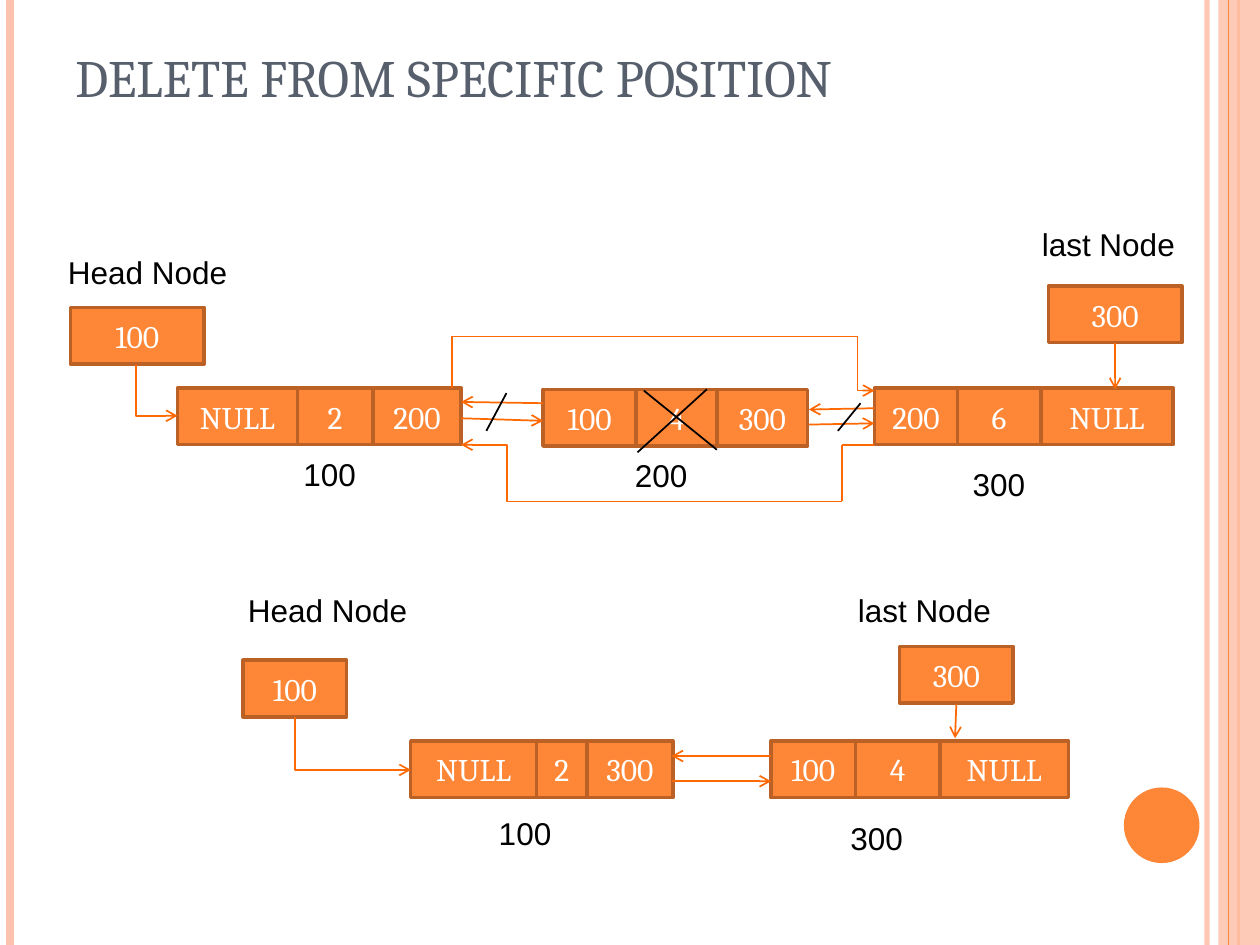
from lxml.etree import SubElement
from pptx import Presentation
from pptx.dml.color import RGBColor
from pptx.enum.shapes import MSO_CONNECTOR as CONN, MSO_SHAPE as SHAPE
from pptx.enum.text import MSO_ANCHOR as ANCHOR, PP_ALIGN as ALIGN
from pptx.oxml.ns import qn
from pptx.util import Inches, Pt

COLS, ROWS = 10, 7.5  # grid of one-inch units
COLORS = {
    "orange": "FE8637", "peach": "FEC3AE", "border": "BB6126", "arrow": "FF6903",
    "title": "575F6D", "black": "000000", "white": "FFFFFF",
}
FORMATS = {
    "title": {"name": "Cambria", "size": Pt(30), "color": "title"},
    "cell": {"name": "Cambria", "size": Pt(18), "color": "white"},
    "label": {"name": "Arial", "size": Pt(18), "color": "black"},
}
CELL_H = 0.45
LABEL_H = 0.4


class ListDiagram:
    def __init__(self, prs):
        self.slide = prs.slides.add_slide(prs.slide_layouts[6])
        self.col = prs.slide_width / COLS
        self.row = prs.slide_height / ROWS

    def grid(self, *values):
        """Turn alternating columns and rows into slide lengths."""
        return [round(v * (self.row if i % 2 else self.col)) for i, v in enumerate(values)]

    def paint(self, fill, color, alpha=None):
        fill.solid()
        fill.fore_color.rgb = RGBColor.from_string(COLORS[color])
        if alpha:
            clr = fill._xPr.find(".//" + qn("a:srgbClr"))
            SubElement(clr, qn("a:alpha"), val=str(alpha * 1000))

    def set_text(self, sp, text, style, anchor=ANCHOR.TOP, align=ALIGN.LEFT):
        tf = sp.text_frame
        tf.word_wrap = True
        tf.vertical_anchor = anchor
        p = tf.paragraphs[0]
        p.alignment = align
        r = p.add_run()
        r.text = text
        for key, value in FORMATS[style].items():
            if key == "color":
                r.font.color.rgb = RGBColor.from_string(COLORS[value])
            else:
                setattr(r.font, key, value)

    def shape(self, kind, x, y, w, h, color="orange", alpha=None, border=None):
        sp = self.slide.shapes.add_shape(kind, *self.grid(x, y, w, h))
        sp.shadow.inherit = False
        self.paint(sp.fill, color, alpha)
        if border:
            self.paint(sp.line.fill, border)
            sp.line.width = Pt(2)
        else:
            sp.line.fill.background()
        return sp

    def text(self, x, y, w, text, h=LABEL_H, style="label", anchor=ANCHOR.TOP):
        sp = self.slide.shapes.add_textbox(*self.grid(x, y, w, h))
        self.set_text(sp, text, style, anchor)

    def cell(self, x, y, w, text):
        sp = self.shape(SHAPE.RECTANGLE, x, y, w, CELL_H, border="border")
        self.set_text(sp, text, "cell", ANCHOR.MIDDLE, ALIGN.CENTER)

    def node(self, x, y, widths, values):
        """Draw previous link, value and next link side by side."""
        for w, value in zip(widths, values):
            self.cell(x, y, w, value)
            x += w

    def line(self, x1, y1, x2, y2, color="arrow", width=1, alpha=None, head=False, bend=None):
        """Draw a line; bend is the share of the width before an elbow turns."""
        kind = CONN.STRAIGHT if bend is None else CONN.ELBOW
        cx = self.slide.shapes.add_connector(kind, *self.grid(x1, y1, x2, y2))
        cx.line.width = Pt(width)
        self.paint(cx.line.fill, color, alpha)
        sp_pr = cx._element.spPr
        if head:
            SubElement(sp_pr.find(qn("a:ln")), qn("a:tailEnd"), type="arrow")
        if bend is not None:
            av = sp_pr.find(qn("a:prstGeom")).find(qn("a:avLst"))
            SubElement(av, qn("a:gd"), name="adj1", fmla=f"val {round(bend * 100000)}")
        SubElement(sp_pr, qn("a:effectLst"))

    def arrow(self, *points, bend=None):
        self.line(*points, head=True, bend=bend)


def frame(d):
    def rule(x, *style):
        d.line(x, 0, x, ROWS, *style)

    rule(9.58, "peach", 3, 93)
    rule(0.08, "peach", 4.5)
    rule(9.83, "orange", 1.5)
    d.shape(SHAPE.RECTANGLE, 9.67, 0, 0.33, ROWS, "peach", 87)
    rule(9.75, "orange", 0.75)
    d.shape(SHAPE.OVAL, 8.92, 6.25, 0.6, 0.6)
    d.text(0.5, 0.3, 8.17, "DELETE FROM SPECIFIC POSITION", 0.61, "title", ANCHOR.BOTTOM)


def before(d):
    """The three-node list, with the middle node struck out."""
    d.node(1.41, 3.08, (0.95, 0.6, 0.7), ("NULL", "2", "200"))
    d.node(4.31, 3.09, (0.74, 0.64, 0.72), ("100", "4", "300"))
    d.node(6.94, 3.08, (0.66, 0.66, 1.05), ("200", "6", "NULL"))
    d.cell(0.56, 2.44, 1.06, "100")
    d.cell(8.32, 2.27, 1.06, "300")
    d.text(0.44, 1.96, 1.57, "Head Node")
    d.text(8.17, 1.74, 1.57, "last Node")
    for x, y, address in ((2.31, 3.56, "100"), (4.94, 3.57, "200"), (7.62, 3.64, "300")):
        d.text(x, y, 0.85, address)

    d.arrow(1.08, 2.9, 1.41, 3.3, bend=0)
    d.arrow(8.85, 2.72, 8.85, 3.09)
    d.arrow(3.66, 3.32, 4.31, 3.34)
    d.arrow(4.31, 3.2, 3.66, 3.19)
    d.arrow(6.42, 3.37, 6.94, 3.36)
    d.arrow(6.94, 3.24, 6.42, 3.25)

    strikes = ((5.61, 3.09, 5.06, 3.59), (5.69, 3.57, 5.11, 3.1),
               (6.83, 3.2, 6.65, 3.42), (4.02, 3.12, 3.86, 3.42))
    for strike in strikes:
        d.line(*strike, color="black")

    # New links that bypass the deleted node
    d.line(3.59, 3.08, 3.59, 2.67)
    d.arrow(3.59, 2.67, 6.94, 3.1, bend=0.96)
    d.line(6.94, 3.53, 6.68, 3.53)
    d.line(6.68, 3.53, 6.68, 3.98)
    d.arrow(6.68, 3.98, 3.66, 3.53, bend=0.88)


def after(d):
    """The two-node list that remains."""
    d.node(3.26, 5.88, (1, 0.4, 0.68), ("NULL", "2", "300"))
    d.node(6.12, 5.88, (0.67, 0.67, 1.02), ("100", "4", "NULL"))
    d.cell(1.93, 5.24, 0.82, "100")
    d.cell(7.14, 5.13, 0.9, "300")
    d.text(1.87, 4.64, 1.57, "Head Node")
    d.text(6.71, 4.64, 1.57, "last Node")
    d.text(3.86, 6.41, 0.85, "100")
    d.text(6.65, 6.45, 0.85, "300")

    d.arrow(2.34, 5.69, 3.26, 6.11, bend=0)
    d.arrow(7.59, 5.59, 7.58, 5.86)
    d.arrow(5.33, 6.2, 6.12, 6.2)
    d.arrow(6.12, 6, 5.33, 6)


def main():
    prs = Presentation()
    prs.slide_width, prs.slide_height = Inches(COLS), Inches(ROWS)
    diagram = ListDiagram(prs)
    for draw in (frame, before, after):
        draw(diagram)
    prs.save("out.pptx")


if __name__ == "__main__":
    main()
